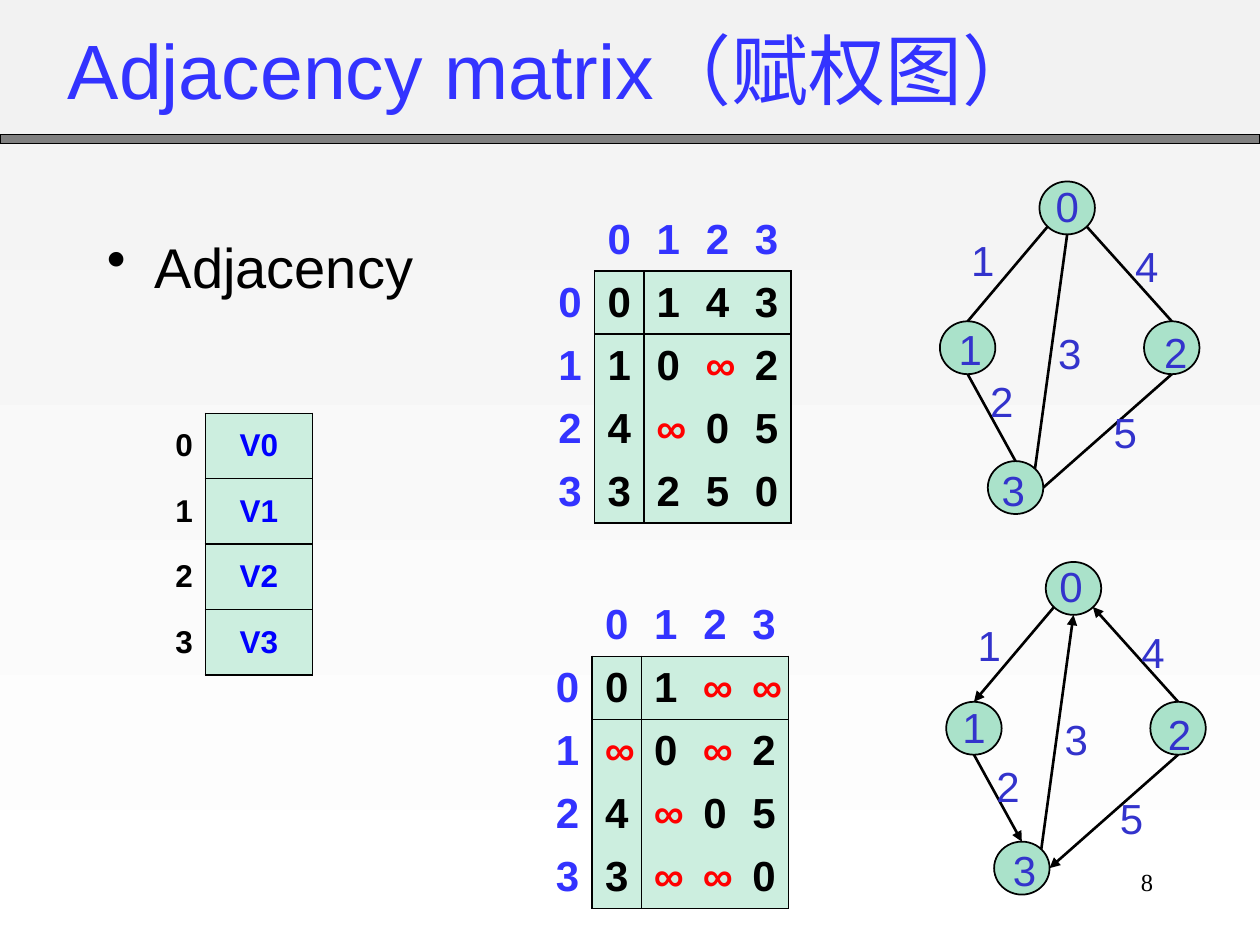
"""Build the slide on adjacency matrices of weighted graphs."""
from dataclasses import dataclass

from lxml.etree import SubElement
from pptx import Presentation
from pptx.dml.color import RGBColor
from pptx.enum.shapes import MSO_CONNECTOR, MSO_SHAPE
from pptx.enum.text import MSO_ANCHOR, PP_ALIGN
from pptx.oxml.ns import qn
from pptx.util import Inches, Pt


@dataclass(frozen=True)
class Theme:
    sans: str = "Arial"
    serif: str = "Times New Roman"
    ink: str = "000000"
    heading: str = "3333FF"
    graph_label: str = "3333CC"
    vertex_name: str = "0000FF"
    infinite: str = "FF0000"
    node: str = "AAE2CA"
    cell: str = "CCEEDF"
    bar: str = "808080"
    sky: str = "F2F2F2"
    ground: str = "FFFFFF"
    title_size: int = 44
    body_size: int = 32
    label_size: int = 24
    vertex_size: int = 18
    number_size: int = 14


THEME = Theme()
NO_GRID = "{2D5ABB26-0587-4C30-8999-92F81FD0307C}"
INFINITY = "∞"
NODE_WIDTH, NODE_HEIGHT = 0.44, 0.42
NODES = [(8.25, 1.44), (7.46, 2.55), (9.08, 2.55), (7.84, 3.66)]
SITES = {
    "top": (0.5, 0), "bottom": (0.5, 1), "right": (1, 0.5),
    "lower left": (0.15, 0.85), "lower right": (0.85, 0.85), "upper right": (0.85, 0.15),
}
EDGES = [
    (0, "lower left", 1, "top"),
    (3, "upper right", 0, "bottom"),
    (1, "bottom", 3, "top"),
    (2, "top", 0, "lower right"),
    (2, "bottom", 3, "right"),
]
WEIGHTS = {"1": (7.61, 1.81), "2": (7.76, 2.93), "3": (8.3, 2.55), "4": (8.91, 1.86), "5": (8.74, 3.18)}


def write(frame, text, *, size, color=THEME.ink, font=THEME.sans, bold=False, align=PP_ALIGN.LEFT):
    paragraph = frame.paragraphs[0]
    paragraph.alignment = align
    run = paragraph.add_run()
    run.text = text
    run.font.name = font
    run.font.size = Pt(size)
    run.font.bold = bold
    run.font.color.rgb = RGBColor.from_string(color)
    return paragraph


class SlideBuilder:
    def __init__(self, slide, theme):
        self.slide = slide
        self.theme = theme

    def background(self):
        fill = self.slide.background.fill
        fill.gradient()
        fill.gradient_angle = 270
        for stop, color in zip(fill.gradient_stops, (self.theme.sky, self.theme.ground)):
            stop.color.rgb = RGBColor.from_string(color)

    def shape(self, preset, box, fill, line_width):
        shape = self.slide.shapes.add_shape(preset, *map(Inches, box))
        shape.shadow.inherit = False
        shape.fill.solid()
        shape.fill.fore_color.rgb = RGBColor.from_string(fill)
        shape.line.color.rgb = RGBColor.from_string(self.theme.ink)
        shape.line.width = Pt(line_width)

    def text(self, box, text, anchor=MSO_ANCHOR.TOP, **style):
        frame = self.slide.shapes.add_textbox(*map(Inches, box)).text_frame
        frame.word_wrap = True
        frame.vertical_anchor = anchor
        return write(frame, text, **style)

    def bullet(self, box, text, **style):
        paragraph = self.text(box, text, **style)
        paragraph.space_before = Pt(3.6)
        properties = paragraph._p.get_or_add_pPr()
        properties.set("marL", str(Inches(0.38)))
        properties.set("indent", str(-Inches(0.38)))
        SubElement(properties, qn("a:buChar"), char="•")

    def edge(self, start, end, directed):
        edge = self.slide.shapes.add_connector(MSO_CONNECTOR.STRAIGHT, *map(Inches, start + end))
        edge.line.color.rgb = RGBColor.from_string(self.theme.ink)
        edge.line.width = Pt(1.5)
        if directed:
            SubElement(edge.line._get_or_add_ln(), qn("a:tailEnd"), type="triangle")
        SubElement(edge._element.spPr, qn("a:effectLst"))

    def graph(self, shift, label_offsets, weight_drop=0, directed=False):
        dx, dy = shift
        nodes = [(x + dx, y + dy) for x, y in NODES]

        def site(node, name):
            x, y = nodes[node]
            across, down = SITES[name]
            return x + across * NODE_WIDTH, y + down * NODE_HEIGHT

        for x, y in nodes:
            self.shape(MSO_SHAPE.OVAL, (x, y, NODE_WIDTH, NODE_HEIGHT), self.theme.node, 1)
        for source, leaving, target, entering in EDGES:
            self.edge(site(source, leaving), site(target, entering), directed)
        style = dict(size=self.theme.label_size, color=self.theme.graph_label)
        for index, ((x, y), (right, down)) in enumerate(zip(nodes, label_offsets)):
            self.text((x + right, y + down, 0.55, 0.51), str(index), **style)
        for weight, (x, y) in WEIGHTS.items():
            self.text((x + dx, y + dy + weight_drop, 0.29, 0.51), weight, **style)

    def table(self, corner, rows, columns, column_width, row_height):
        size = (columns * column_width, rows * row_height)
        frame = self.slide.shapes.add_table(rows, columns, *map(Inches, corner + size))
        table = frame.table
        table.first_row = table.horz_banding = False
        table._tbl.tblPr.find(qn("a:tableStyleId")).text = NO_GRID
        return table

    def cell(self, cell, text, fill=None, borders="", **style):
        cell.vertical_anchor = MSO_ANCHOR.MIDDLE
        properties = cell._tc.get_or_add_tcPr()
        for side in borders:
            line = SubElement(properties, qn(f"a:ln{side}"), w=str(Pt(1)))
            SubElement(SubElement(line, qn("a:solidFill")), qn("a:srgbClr"), val=self.theme.ink)
        if fill:
            cell.fill.solid()
            cell.fill.fore_color.rgb = RGBColor.from_string(fill)
        else:
            cell.fill.background()
        if text:
            write(cell.text_frame, text, bold=True, **style)

    def matrix(self, corner, values):
        count = len(values)
        table = self.table(corner, count + 1, count + 1, 0.39, 0.4)
        headers = ["", *map(str, range(count))]
        grid = [headers] + [[header, *row] for header, row in zip(headers[1:], values)]
        for r, row in enumerate(grid):
            for c, value in enumerate(row):
                inside = r > 0 and c > 0
                edges = {"L": c == 1, "R": c == count, "T": r == 1, "B": r == count}
                borders = [side for side, outer in edges.items() if inside and outer]
                entry = self.theme.infinite if value == INFINITY else self.theme.ink
                self.cell(table.cell(r, c), value, self.theme.cell if inside else None, borders,
                          size=self.theme.label_size, align=PP_ALIGN.CENTER,
                          color=entry if inside else self.theme.heading)

    def vertices(self, corner, count):
        table = self.table(corner, count, 2, 0.85, 0.52)
        size = self.theme.vertex_size
        for index in range(count):
            self.cell(table.cell(index, 0), str(index), size=size, align=PP_ALIGN.RIGHT)
            self.cell(table.cell(index, 1), f"V{index}", self.theme.cell, "LRTB", size=size,
                      color=self.theme.vertex_name, align=PP_ALIGN.CENTER)


def main():
    deck = Presentation()
    deck.slide_width, deck.slide_height = Inches(10), Inches(7.5)
    page = SlideBuilder(deck.slides.add_slide(deck.slide_layouts[6]), THEME)
    page.background()
    page.shape(MSO_SHAPE.RECTANGLE, (0, 1.07, 10, 0.07), THEME.bar, 0.75)
    page.text((0.44, 0.1, 8.5, 0.89), "Adjacency matrix（赋权图）", MSO_ANCHOR.MIDDLE,
              size=THEME.title_size, color=THEME.heading)
    page.bullet((0.75, 1.8, 2.87, 0.76), "Adjacency", size=THEME.body_size)
    page.text((7.17, 6.83, 2.08, 0.5), "8", size=THEME.number_size, font=THEME.serif,
              align=PP_ALIGN.RIGHT)
    page.graph((0.05, 3.02), [(0.01, -0.06), (0.03, -0.05), (0.04, 0), (0.05, -0.03)],
               weight_drop=0.04, directed=True)
    page.graph((0, 0), [(0.03, -0.06), (0.05, -0.03), (0.06, -0.01), (0.01, -0.02)])
    page.matrix((4.33, 1.65), ["0143", "10∞2", "4∞05", "3250"])
    page.matrix((4.31, 4.71), ["01∞∞", "∞0∞2", "4∞05", "3∞∞0"])
    page.vertices((0.78, 3.28), 4)
    deck.save("out.pptx")


if __name__ == "__main__":
    main()
